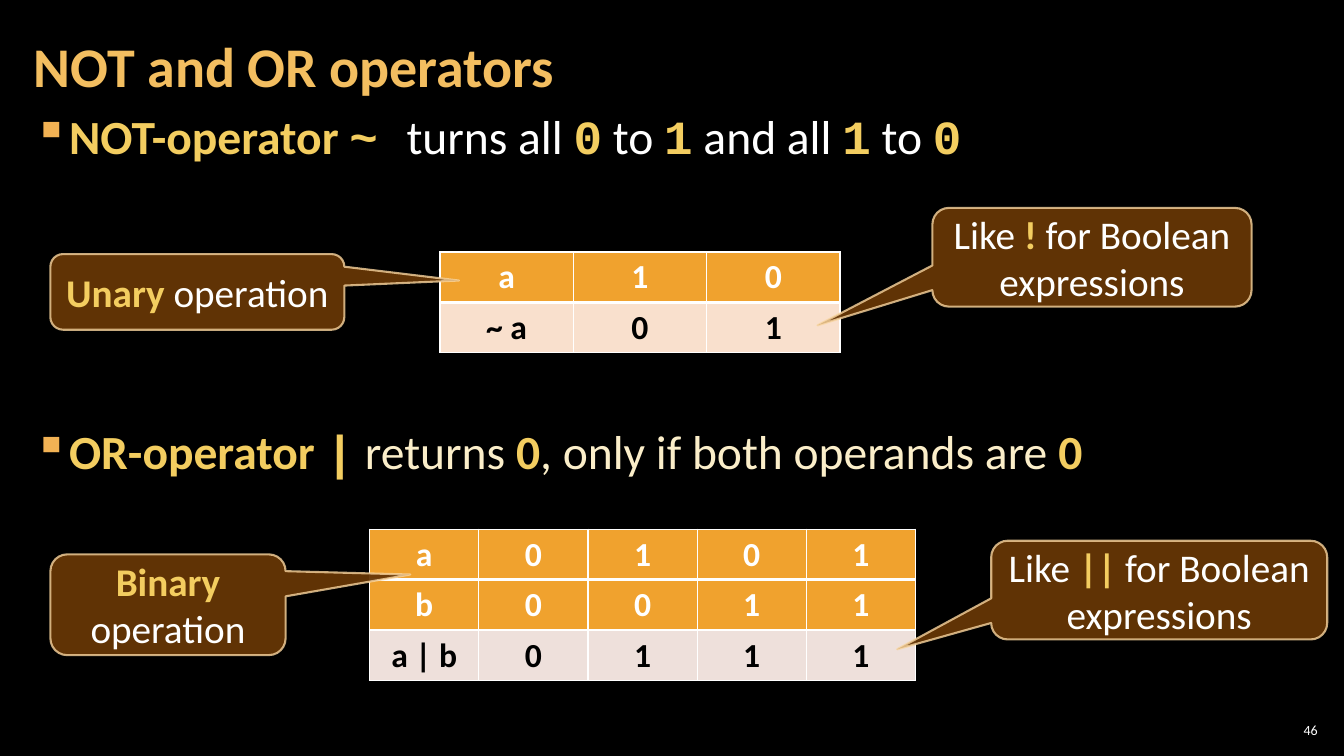
from lxml import etree
from pptx import Presentation
from pptx.dml.color import RGBColor
from pptx.enum.shapes import MSO_SHAPE
from pptx.enum.text import MSO_ANCHOR, PP_ALIGN
from pptx.oxml.ns import qn
from pptx.util import Pt

EMU_PER_PX = 9525
CALLOUT = MSO_SHAPE.ROUNDED_RECTANGULAR_CALLOUT
TOP, MIDDLE = MSO_ANCHOR.TOP, MSO_ANCHOR.MIDDLE
LEFT, CENTER, RIGHT = PP_ALIGN.LEFT, PP_ALIGN.CENTER, PP_ALIGN.RIGHT

BLACK = RGBColor(0x00, 0x00, 0x00)
WHITE = RGBColor(0xFF, 0xFF, 0xFF)
TITLE_GOLD = RGBColor(0xF3, 0xBE, 0x60)
KEY_GOLD = RGBColor(0xF3, 0xCD, 0x60)
BULLET_GOLD = RGBColor(0xF2, 0xB2, 0x54)
CREAM = RGBColor(0xFB, 0xEE, 0xC9)
ORANGE = RGBColor(0xF0, 0xA2, 0x2E)
PEACH = RGBColor(0xF9, 0xE0, 0xCD)
ROSE = RGBColor(0xEE, 0xE0, 0xDB)
BROWN = RGBColor(0x66, 0x36, 0x06)
CALLOUT_LINE = RGBColor(0xF8, 0xD4, 0x9E)

SANS, MONO = "Calibri", "Courier New"


def px(*lengths):
    return [round(length * EMU_PER_PX) for length in lengths]


def key(text, font=SANS):
    """A highlighted piece of text."""
    return text, KEY_GOLD, True, font


def plain(text, color=WHITE):
    return text, color, False, SANS


def add_spans(para, spans, size, align=LEFT):
    para.alignment = align
    for text, color, bold, font in spans:
        span = para.add_run()
        span.text = text
        span.font.size = Pt(size)
        span.font.name = font
        span.font.bold = bold
        span.font.color.rgb = color


def add_text(page, area, spans, size, align=LEFT, anchor=MIDDLE, inset=(12, 4)):
    box = page.shapes.add_textbox(*px(*area))
    frame = box.text_frame
    frame.word_wrap = True
    frame.vertical_anchor = anchor
    frame.margin_left, frame.margin_top = px(*inset)
    frame.margin_right, frame.margin_bottom = px(*inset)
    add_spans(frame.paragraphs[0], spans, size, align)
    return frame


def format_bullet(para, space_before=0):
    para.line_spacing = Pt(36)
    para.space_before = Pt(space_before)
    para.space_after = Pt(6)
    properties = para._p.get_or_add_pPr()
    indent = px(32)[0]
    properties.set("marL", str(indent))
    properties.set("indent", str(-indent))
    color = etree.SubElement(properties, qn("a:buClr"))
    etree.SubElement(color, qn("a:srgbClr"), val=str(BULLET_GOLD))
    etree.SubElement(properties, qn("a:buChar"), char="▪")


def set_alpha(fill_parent, percent):
    color = fill_parent.find(f"{qn('a:solidFill')}/{qn('a:srgbClr')}")
    etree.SubElement(color, qn("a:alpha"), val=str(percent * 1000))


def add_callout(page, area, tip, spans):
    callout = page.shapes.add_shape(CALLOUT, *px(*area))
    callout.shadow.inherit = False
    callout.adjustments[0], callout.adjustments[1] = tip
    callout.fill.solid()
    callout.fill.fore_color.rgb = BROWN
    set_alpha(callout._element.spPr, 95)
    callout.line.color.rgb = CALLOUT_LINE
    callout.line.width = Pt(1.5)
    set_alpha(callout.line._ln, 80)
    frame = callout.text_frame
    frame.word_wrap = True
    frame.vertical_anchor = MIDDLE
    add_spans(frame.paragraphs[0], spans, 28, CENTER)


def add_borders(cell, **widths):
    properties = cell._tc.get_or_add_tcPr()
    for side in "LRTB":
        width = Pt(widths.get(side, 1))
        line = etree.SubElement(properties, qn(f"a:ln{side}"), w=str(width))
        fill = etree.SubElement(line, qn("a:solidFill"))
        etree.SubElement(fill, qn("a:srgbClr"), val=str(WHITE))


def add_truth_table(page, left, top, column_width, rows, result_fill):
    """Operand rows are orange; the last row holds the result."""
    row_height = 48
    size = column_width * len(rows[0]), row_height * len(rows)
    table = page.shapes.add_table(
        len(rows), len(rows[0]), *px(left, top, *size)).table
    table.horz_banding = False
    for column in table.columns:
        column.width = px(column_width)[0]
    for r, values in enumerate(rows):
        is_result = r == len(rows) - 1
        for c, value in enumerate(values):
            cell = table.cell(r, c)
            # A thick rule parts the first row from the second
            add_borders(cell, B=3 if r == 0 else 1, T=3 if r == 1 else 1)
            cell.fill.solid()
            cell.fill.fore_color.rgb = result_fill if is_result else ORANGE
            cell.vertical_anchor = MIDDLE
            color = BLACK if is_result else WHITE
            add_spans(cell.text_frame.paragraphs[0],
                      [(value, color, True, SANS)], 24, CENTER)


def main():
    deck = Presentation()
    deck.slide_width, deck.slide_height = px(1280, 720)
    page = deck.slides.add_slide(deck.slide_layouts[6])
    page.background.fill.solid()
    page.background.fill.fore_color.rgb = BLACK

    # Statements
    not_spans = [key("NOT-operator "), key("~ ", MONO), plain("turns all "),
                 key("0", MONO), plain(" to "), key("1", MONO),
                 plain(" and all "), key("1", MONO), plain(" to "),
                 key("0", MONO)]
    or_spans = [key("OR-operator "), key("|", MONO), plain(" returns ", CREAM),
                key("0"), plain(", only if both operands are ", CREAM),
                key("0")]
    body = add_text(page, (20, 104, 1240, 602), not_spans, 34, anchor=TOP)
    format_bullet(body.paragraphs[0])
    or_para = body.add_paragraph()
    format_bullet(or_para, space_before=183)
    add_spans(or_para, or_spans, 34)

    # Title and page number
    add_text(page, (20, 4, 1005, 116),
             [("NOT and OR operators", TITLE_GOLD, True, SANS)], 40)
    add_text(page, (1214, 685, 45, 20), [plain("46")], 10, RIGHT, inset=(4, 4))

    # NOT operator
    add_truth_table(page, 419, 240, 127, ["a10", ("~ a", "0", "1")], PEACH)
    add_callout(page, (48, 242, 280, 72), (0.89, -0.15),
                [key("Unary "), plain("operation")])
    add_callout(page, (888, 198, 304, 94), (-0.86, 0.69),
                [plain("Like "), key("! "), plain("for Boolean expressions")])

    # OR operator
    add_truth_table(page, 352, 504, 104,
                    ["a0101", "b0011", ("a | b", *"0111")], ROSE)
    add_callout(page, (48, 528, 224, 96), (1.03, -0.3),
                [key("Binary "), plain("operation")])
    add_callout(page, (944, 515, 320, 94), (-0.78, 0.6),
                [plain("Like "), key("|| "), plain("for Boolean expressions")])

    deck.save("out.pptx")


if __name__ == "__main__":
    main()
